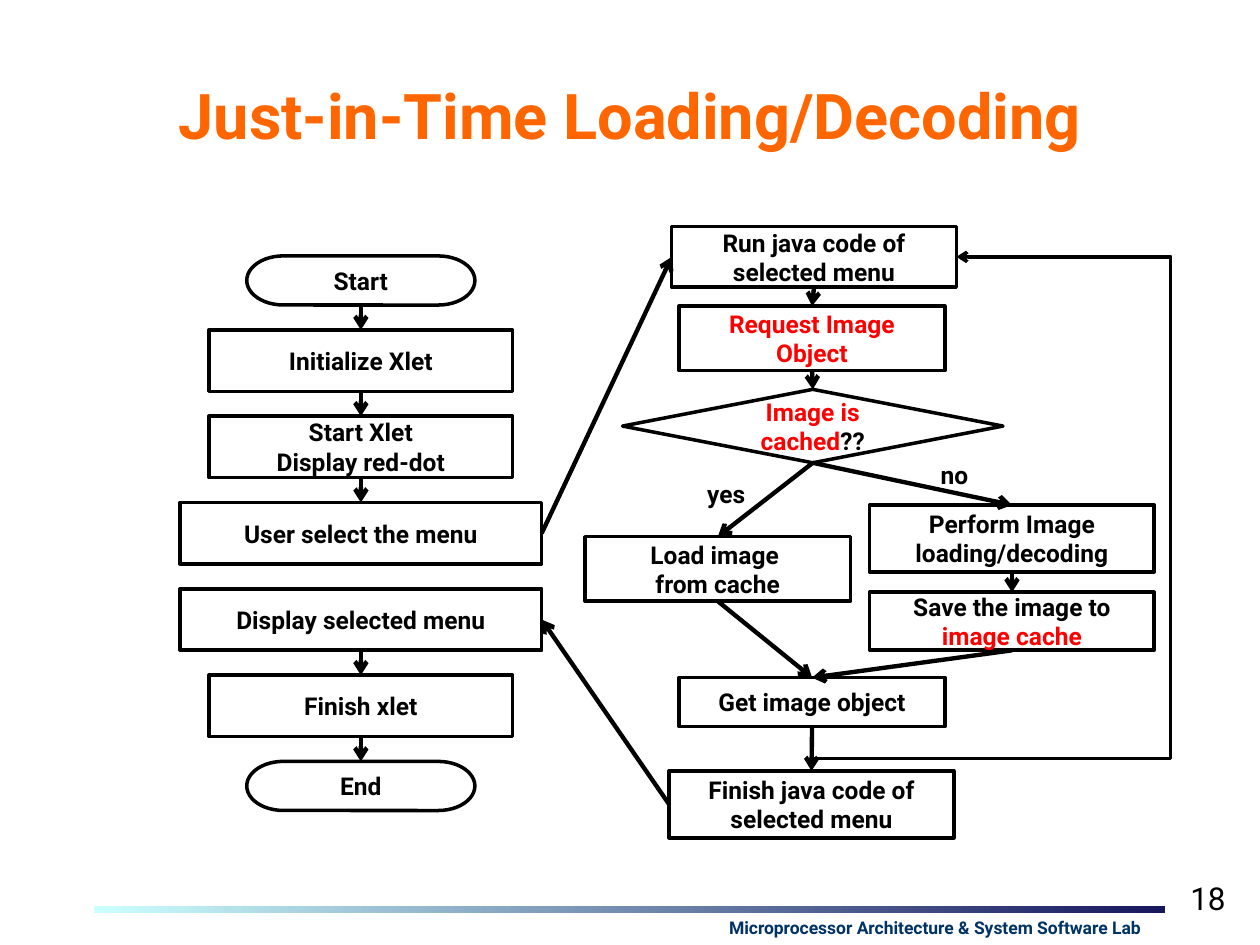
from dataclasses import dataclass
from itertools import pairwise

from lxml.etree import SubElement
from pptx import Presentation
from pptx.dml.color import RGBColor
from pptx.enum.shapes import MSO_CONNECTOR as LINK, MSO_SHAPE as SHAPE
from pptx.enum.text import MSO_ANCHOR as ANCHOR, PP_ALIGN as ALIGN
from pptx.oxml.ns import qn
from pptx.util import Cm, Pt


@dataclass(frozen=True)
class Theme:
    """Colours, font and type sizes of the deck."""
    font: str = "Roboto"
    ink: str = "000000"
    paper: str = "FFFFFF"
    title: str = "FF6600"
    accent: str = "FF0000"
    footer: str = "003366"
    bar_start: str = "CCFFFF"
    bar_end: str = "17175E"
    title_size: int = 36
    number_size: int = 18
    body_size: int = 14
    footer_size: int = 10
    outline: float = 2
    arrow: float = 2.5


THEME = Theme()
TOP, LEFT, BOTTOM, RIGHT = range(4)


def write(shape, lines, size=THEME.body_size, bold=True, align=ALIGN.CENTER,
          anchor=ANCHOR.MIDDLE, wrap=True):
    """Fill a shape with paragraphs, each a list of (text, colour) spans."""
    frame = shape.text_frame
    frame.word_wrap = wrap
    frame.vertical_anchor = anchor
    for index, spans in enumerate(lines):
        para = frame.add_paragraph() if index else frame.paragraphs[0]
        para.alignment = align
        para.font.name = THEME.font
        para.font.size = Pt(size)
        para.font.bold = bold
        for text, color in spans:
            span = para.add_run()
            span.text = text
            span.font.color.rgb = RGBColor.from_string(color)


def plain(*texts):
    """Return one ink-coloured paragraph for each text."""
    return [[(text, THEME.ink)] for text in texts]


def add_text(page, box, lines, **style):
    """Place a text box at (left, top, width, height) in centimetres."""
    label = page.shapes.add_textbox(*map(Cm, box))
    write(label, lines, **style)
    return label


def add_step(page, kind, box, lines):
    """Place one outlined flowchart step."""
    step = page.shapes.add_shape(kind, *map(Cm, box))
    step.shadow.inherit = False
    if kind == SHAPE.RECTANGLE:
        step.fill.solid()
        step.fill.fore_color.rgb = RGBColor.from_string(THEME.paper)
    else:
        step.fill.background()
    step.line.color.rgb = RGBColor.from_string(THEME.ink)
    step.line.width = Pt(THEME.outline)
    write(step, lines)
    return step


def style_arrow(link, width):
    """Give a connector its colour, width and open arrowhead."""
    link.line.color.rgb = RGBColor.from_string(THEME.ink)
    link.line.width = Pt(width)
    SubElement(link.line._get_or_add_ln(), qn("a:tailEnd"), type="arrow")
    SubElement(link._element.spPr, qn("a:effectLst"))


def join(page, start, end, start_side=BOTTOM, end_side=TOP):
    """Draw a straight arrow between two steps."""
    link = page.shapes.add_connector(LINK.STRAIGHT, 0, 0, 0, 0)
    link.begin_connect(start, start_side)
    link.end_connect(end, end_side)
    style_arrow(link, THEME.arrow)


def loop_back(page, start, end, drop, reach):
    """Run a bent arrow from a step's bottom, around the right, to an earlier step's side."""
    x1, y1 = start.left + start.width // 2, start.top + start.height
    x2, y2 = end.left + end.width, end.top + end.height // 2
    mid_x, mid_y = (x1 + x2) // 2, (y1 + y2) // 2
    climb, shift = y1 - y2, x2 - x1
    link = page.shapes.add_connector(
        LINK.ELBOW, mid_x + climb // 2, mid_y + shift // 2,
        mid_x - climb // 2, mid_y - shift // 2)
    properties = link._element.spPr
    properties.find(qn("a:xfrm")).set("rot", str(90 * 60000))
    geometry = properties.find(qn("a:prstGeom"))
    geometry.set("prst", "bentConnector4")
    guides = geometry.find(qn("a:avLst"))
    if guides is None:
        guides = SubElement(geometry, qn("a:avLst"))
    ratios = -Cm(drop) / climb, (shift + Cm(reach)) / shift
    for number, ratio in enumerate(ratios, 1):
        SubElement(guides, qn("a:gd"), name=f"adj{number}", fmla=f"val {round(ratio * 100000)}")
    style_arrow(link, THEME.outline)


def build_main_flow(page, box):
    """Stack the application's life cycle and return its menu steps."""
    left, top, width, _ = box
    narrow, medium, gap = 4.6, 6.12, 0.5
    rows = [
        (SHAPE.FLOWCHART_TERMINATOR, narrow, 0.99, ["Start"]),
        (SHAPE.RECTANGLE, medium, 1.24, ["Initialize Xlet"]),
        (SHAPE.RECTANGLE, medium, 1.24, ["Start Xlet", "Display red-dot"]),
        (SHAPE.RECTANGLE, width, 1.24, ["User select the menu"]),
        (SHAPE.RECTANGLE, width, 1.24, ["Display selected menu"]),
        (SHAPE.RECTANGLE, medium, 1.24, ["Finish xlet"]),
        (SHAPE.FLOWCHART_TERMINATOR, narrow, 0.99, ["End"]),
    ]
    steps = []
    for kind, span, height, texts in rows:
        place = left + (width - span) / 2, top, span, height
        steps.append(add_step(page, kind, place, plain(*texts)))
        top += height + gap
    select, display = steps[3:5]
    for start, end in pairwise(steps):
        if start is not select:
            join(page, start, end)
    return select, display


def build_menu_flow(page, box):
    """Draw the image caching branch and return its first and last steps."""
    left, top, _, _ = box

    def step(x, y, width, height, lines, kind=SHAPE.RECTANGLE):
        return add_step(page, kind, (left + x, top + y, width, height), lines)

    run = step(1.75, 0, 5.74, 1.22, plain("Run java code of selected menu"))
    request = step(1.9, 1.6, 5.36, 1.3, [[("Request Image Object", THEME.accent)]])
    cached = step(0.76, 3.28, 7.67, 1.48,
                  [[("Image is cached", THEME.accent), ("??", THEME.ink)]],
                  SHAPE.FLOWCHART_DECISION)
    load = step(0, 6.25, 5.36, 1.3, plain("Load image ", "from cache"))
    perform = step(5.74, 5.61, 5.74, 1.35, plain("Perform Image loading/decoding"))
    save = step(5.74, 7.37, 5.74, 1.17,
                [[("Save the image to ", THEME.ink), ("image cache", THEME.accent)]])
    get = step(1.9, 9.09, 5.36, 0.99, plain("Get image object"))
    finish = step(1.7, 10.97, 5.74, 1.35, plain("Finish java code of selected menu"))
    for start, end in [(run, request), (request, cached), (cached, load), (cached, perform),
                       (perform, save), (load, get), (save, get), (get, finish)]:
        join(page, start, end)
    loop_back(page, get, run, drop=0.64, reach=4.32)
    for text, x, y in [("yes", 1.9, 5.13), ("no", 6.5, 4.75)]:
        add_text(page, (left + x, top + y, 1.9, 0.51), plain(text))
    return run, finish


def build_footer(page, box):
    """Draw the gradient bar, the lab's name and the page number."""
    left, top, width, height = box
    bar = page.shapes.add_shape(SHAPE.RECTANGLE, *map(Cm, (left, top + 0.66, width, 0.15)))
    bar.shadow.inherit = False
    bar.line.fill.background()
    bar.fill.gradient()
    bar.fill.gradient_angle = 0
    for stop, color in zip(bar.fill.gradient_stops, (THEME.bar_start, THEME.bar_end)):
        stop.color.rgb = RGBColor.from_string(color)
    add_text(page, (left + 11, top + 0.76, 11.89, 0.69),
             [[("Microprocessor Architecture & System Software Lab", THEME.footer)]],
             size=THEME.footer_size, anchor=ANCHOR.TOP)
    add_text(page, (left + width + 0.2, top, 1.27, 1.02), plain("18"),
             size=THEME.number_size, bold=False, align=ALIGN.RIGHT, wrap=False)


def main():
    """Build the deck."""
    deck = Presentation()
    deck.slide_width, deck.slide_height = Cm(25.4), Cm(19.05)
    page = deck.slides.add_slide(deck.slide_layouts[6])
    build_footer(page, (1.9, 17.6, 21.59, 1.45))
    add_text(page, (0, 0.79, 25.4, 3.02), [[("Just-in-Time Loading/Decoding", THEME.title)]],
             size=THEME.title_size)
    select, display = build_main_flow(page, (3.63, 5.16, 7.29, 11.18))
    run, finish = build_menu_flow(page, (11.79, 4.57, 11.81, 12.32))
    join(page, select, run, RIGHT, LEFT)
    join(page, finish, display, LEFT, RIGHT)
    deck.save("out.pptx")


if __name__ == "__main__":
    main()
